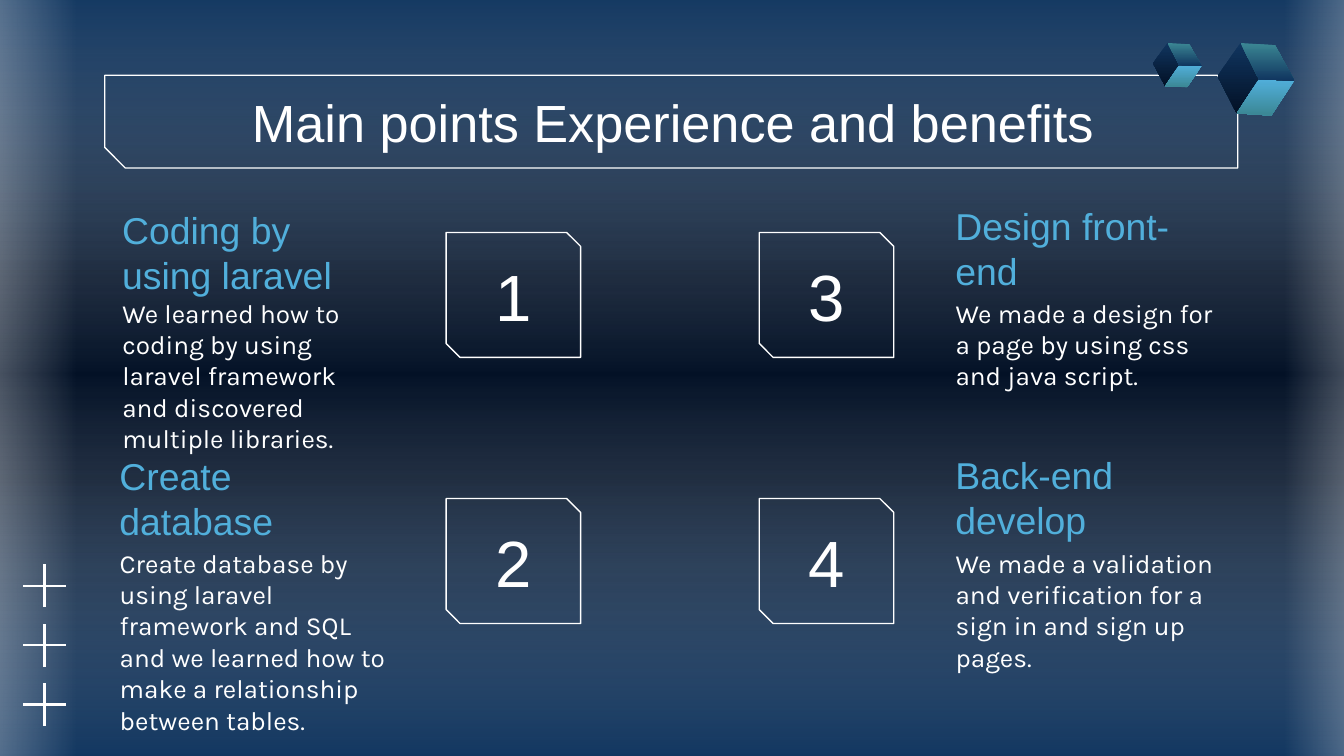
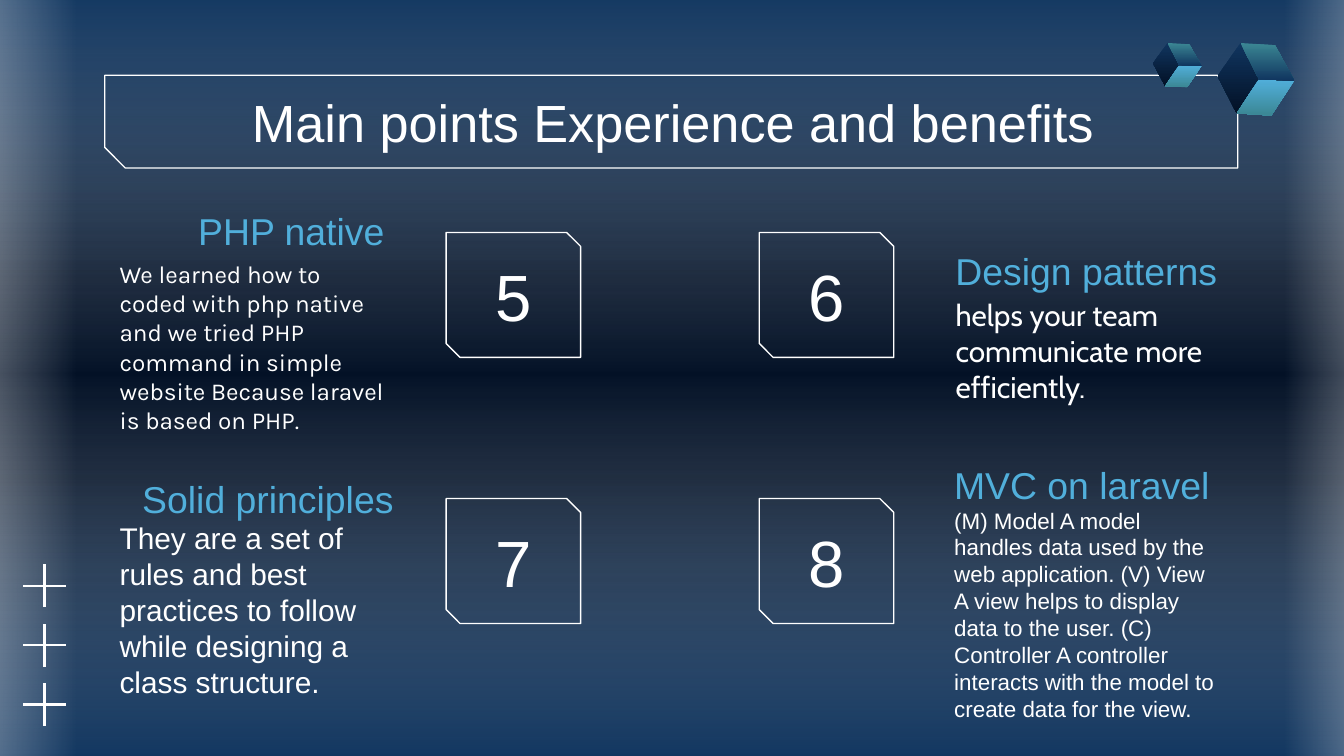
import dataclasses

import lxml.etree
import pptx
import pptx.dml.color
import pptx.enum.shapes
import pptx.enum.text
import pptx.oxml.ns
import pptx.util

RGBColor = pptx.dml.color.RGBColor
Align = pptx.enum.text.PP_ALIGN
Anchor = pptx.enum.text.MSO_ANCHOR
Preset = pptx.enum.shapes.MSO_SHAPE
qn = pptx.oxml.ns.qn

WHITE = RGBColor(0xFF, 0xFF, 0xFF)
NAVY = RGBColor(0x10, 0x35, 0x5F)
MIDNIGHT = RGBColor(0x03, 0x11, 0x26)
SKY = RGBColor(0x51, 0xAF, 0xDB)
TEAL = RGBColor(0x3B, 0x87, 0x94)

SANS = "Arial"
KARLA = "Karla"
CABIN = "Cabin"

SLIDE_WIDTH = pptx.util.Inches(10)
SLIDE_HEIGHT = pptx.util.Inches(5.625)
COLUMN = SLIDE_WIDTH / 100
ROW = SLIDE_HEIGHT / 56.25
INSET = pptx.util.Inches(0.1)

TITLE = "Main points Experience and benefits"
BADGE_COLUMNS = (33.2, 56.5)
BADGE_ROWS = (17.3, 37.1)
BADGE_SIZE = (10, 9.3)
HEADING_SIZE = (21.8, 4.2)
BODY_SIZE = (21.8, 6.3)

CUBE_FACES = (
    (((0.3, 0), (0, 0.46), (0.25, 0.97), (0.54, 0.5)), NAVY, MIDNIGHT),
    (((0.54, 0.5), (1, 0.52), (0.7, 1), (0.25, 0.97)), SKY, TEAL),
    (((0.3, 0), (0.75, 0.03), (1, 0.52), (0.54, 0.5)), TEAL, NAVY),
)


@dataclasses.dataclass
class Topic:
    number: str
    cell: tuple
    heading: str
    heading_at: tuple
    body: str
    body_at: tuple
    size: int = 14
    font: str = KARLA
    heading_align: object = Align.LEFT


FIRST_TOPICS = (
    Topic("1", (0, 0), "Coding by using laravel", (8.1, 18.9),
          "We learned how to coding by using laravel framework and "
          "discovered multiple libraries.", (8.1, 21.1)),
    Topic("2", (0, 1), "Create database", (7.9, 37.2),
          "Create database by using laravel framework and SQL and we learned "
          "how to make a relationship between tables.", (7.9, 39.7)),
    Topic("3", (1, 0), "Design front-end", (70.1, 18.6),
          "We made a design for a page by using css and java script.",
          (70.1, 21.1)),
    Topic("4", (1, 1), "Back-end develop", (70.1, 37.1),
          "We made a validation and verification for a sign in and sign up "
          "pages.", (70.1, 39.7)),
)
SECOND_TOPICS = (
    Topic("5", (0, 0), "PHP native", (7.8, 15.6),
          "We learned how to coded with php native and we tried PHP command "
          "in simple website Because laravel is based on PHP.",
          (7.9, 18.3), size=13, heading_align=Align.RIGHT),
    Topic("6", (1, 0), "Design patterns", (70.1, 18.6),
          "helps your team communicate more efficiently.",
          (70.1, 21.1), size=16, font=CABIN),
    Topic("7", (0, 1), "Solid principles", (9.6, 35.6),
          "They are a set of rules and best practices to follow while "
          "designing a class structure.", (7.9, 37.7), size=16, font=SANS),
    Topic("8", (1, 1), "MVC on laravel", (70, 34.5),
          "(M) Model A model handles data used by the web application. "
          "(V) View A view helps to display data to the user. (C) Controller "
          "A controller interacts with the model to create data for the view.",
          (70, 36.7), size=12, font=SANS),
)


def to_emu(box):
    left, top, width, height = box
    return (round(left * COLUMN), round(top * ROW),
            round(width * COLUMN), round(height * ROW))


def place(shape, box):
    shape.left, shape.top, shape.width, shape.height = to_emu(box)


def write_text(shape, text, size=14, font=SANS, color=WHITE,
               align=Align.LEFT, anchor=Anchor.TOP):
    frame = shape.text_frame
    frame.word_wrap = True
    frame.auto_size = pptx.enum.text.MSO_AUTO_SIZE.NONE
    frame.vertical_anchor = anchor
    frame.margin_left = frame.margin_right = INSET
    frame.margin_top = frame.margin_bottom = INSET
    paragraph = frame.paragraphs[0]
    paragraph.alignment = align
    paragraph.space_before = pptx.util.Pt(0)
    run = paragraph.add_run()
    run.text = text
    run.font.size = pptx.util.Pt(size)
    run.font.name = font
    run.font.bold = False
    run.font.color.rgb = color
    return paragraph


def remove_bullet(paragraph):
    properties = paragraph._p.get_or_add_pPr()
    properties.set("marL", "0")
    properties.set("indent", "0")
    lxml.etree.SubElement(properties, qn("a:buNone"))


def fill_gradient(fill, element, stops, angle=90):
    fill.gradient()
    fill.gradient_angle = 360 - angle
    stop_list = next(element.iter(qn("a:gsLst")))
    for stop in list(stop_list):
        stop_list.remove(stop)
    for position, color, opacity in stops:
        stop = lxml.etree.SubElement(stop_list, qn("a:gs"),
                                     pos=str(position * 1000))
        tint = lxml.etree.SubElement(stop, qn("a:srgbClr"), val=str(color))
        if opacity < 100:
            lxml.etree.SubElement(tint, qn("a:alpha"),
                                  val=str(opacity * 1000))


def add_glow(slide, box, stops, rotation=0):
    shape = slide.shapes.add_shape(Preset.RECTANGLE, *to_emu(box))
    shape.shadow.inherit = False
    shape.line.fill.background()
    shape.rotation = rotation
    fill_gradient(shape.fill, shape.element, stops, angle=180)


def add_backdrop(slide):
    add_glow(slide, (22, -23.3, 58.1, 102.1),
             ((0, NAVY, 59), (50, WHITE, 0), (100, NAVY, 59)), rotation=270)
    edge = ((0, WHITE, 47), (100, WHITE, 0))
    add_glow(slide, (-4.1, -0.9, 9.8, 58), edge, rotation=180)
    add_glow(slide, (95.6, -1.3, 8.5, 58), edge)


def add_snipped_frame(slide, box, snip):
    shape = slide.shapes.add_shape(Preset.SNIP_2_DIAG_RECTANGLE, *to_emu(box))
    shape.shadow.inherit = False
    shape.fill.background()
    shape.line.color.rgb = WHITE
    shape.line.width = pptx.util.Pt(0.75)
    shape.adjustments[0] = 0
    shape.adjustments[1] = snip
    return shape


def add_polygon(group, box, shares):
    left, top, width, height = to_emu(box)
    points = [(round(left + x * width), round(top + y * height))
              for x, y in shares]
    builder = group.shapes.build_freeform(*points[0])
    builder.add_line_segments(points[1:], close=True)
    shape = builder.convert_to_shape()
    shape.shadow.inherit = False
    shape.line.fill.background()
    return shape


def add_crosses(slide, box, count=3, thickness=0.2):
    left, top, arm, height = box
    group = slide.shapes.add_group_shape()
    step = (height - arm) / (count - 1)
    middle = (arm - thickness) / 2
    corners = ((0, 0), (1, 0), (1, 1), (0, 1))
    for index in range(count):
        y = top + index * step
        for bar in ((left, y + middle, arm, thickness),
                    (left + middle, y, thickness, arm)):
            shape = add_polygon(group, bar, corners)
            shape.fill.solid()
            shape.fill.fore_color.rgb = WHITE


def add_cube(slide, box):
    group = slide.shapes.add_group_shape()
    for shares, start, end in CUBE_FACES:
        face = add_polygon(group, box, shares)
        fill_gradient(face.fill, face.element,
                      ((0, start, 100), (100, end, 100)))


def add_title(slide, title, box):
    left, top, width, height = box
    add_snipped_frame(slide, box, 0.221)
    slide.shapes.element.append(title.element)
    place(title, (left + 0.1, top + 0.3, width, height - 0.6))
    write_text(title, TITLE, size=28, align=Align.CENTER,
               anchor=Anchor.MIDDLE)


def add_topic(slide, body, topic):
    slide.shapes.element.append(body.element)
    place(body, topic.body_at + BODY_SIZE)
    remove_bullet(write_text(body, topic.body, size=topic.size,
                             font=topic.font))

    heading = slide.shapes.add_textbox(
        *to_emu(topic.heading_at + HEADING_SIZE))
    write_text(heading, topic.heading, size=20, color=SKY,
               align=topic.heading_align, anchor=Anchor.BOTTOM)

    column, row = topic.cell
    corner = (BADGE_COLUMNS[column], BADGE_ROWS[row])
    badge = add_snipped_frame(slide, corner + BADGE_SIZE, 0.111)
    write_text(badge, topic.number, size=35, align=Align.CENTER,
               anchor=Anchor.MIDDLE)


def add_topics_slide(presentation, topics):
    slide = presentation.slides.add_slide(
        presentation.slide_layouts.get_by_name("Comparison"))
    title, *bodies = list(slide.placeholders)
    add_backdrop(slide)
    add_title(slide, title, (7.8, 5.6, 84.3, 6.9))
    for body, topic in zip(bodies, topics):
        add_topic(slide, body, topic)
    add_crosses(slide, (1.7, 42, 3.2, 12))
    add_cube(slide, (90.6, 3.2, 5.7, 5.4))
    add_cube(slide, (85.8, 3.2, 3.6, 3.3))


def main():
    presentation = pptx.Presentation()
    presentation.slide_width = SLIDE_WIDTH
    presentation.slide_height = SLIDE_HEIGHT
    master = presentation.slide_master
    fill_gradient(master.background.fill, master.element,
                  ((0, NAVY, 100), (37, MIDNIGHT, 100),
                   (63, MIDNIGHT, 100), (100, NAVY, 100)))
    for topics in (FIRST_TOPICS, SECOND_TOPICS):
        add_topics_slide(presentation, topics)
    presentation.save("out.pptx")


if __name__ == "__main__":
    main()
